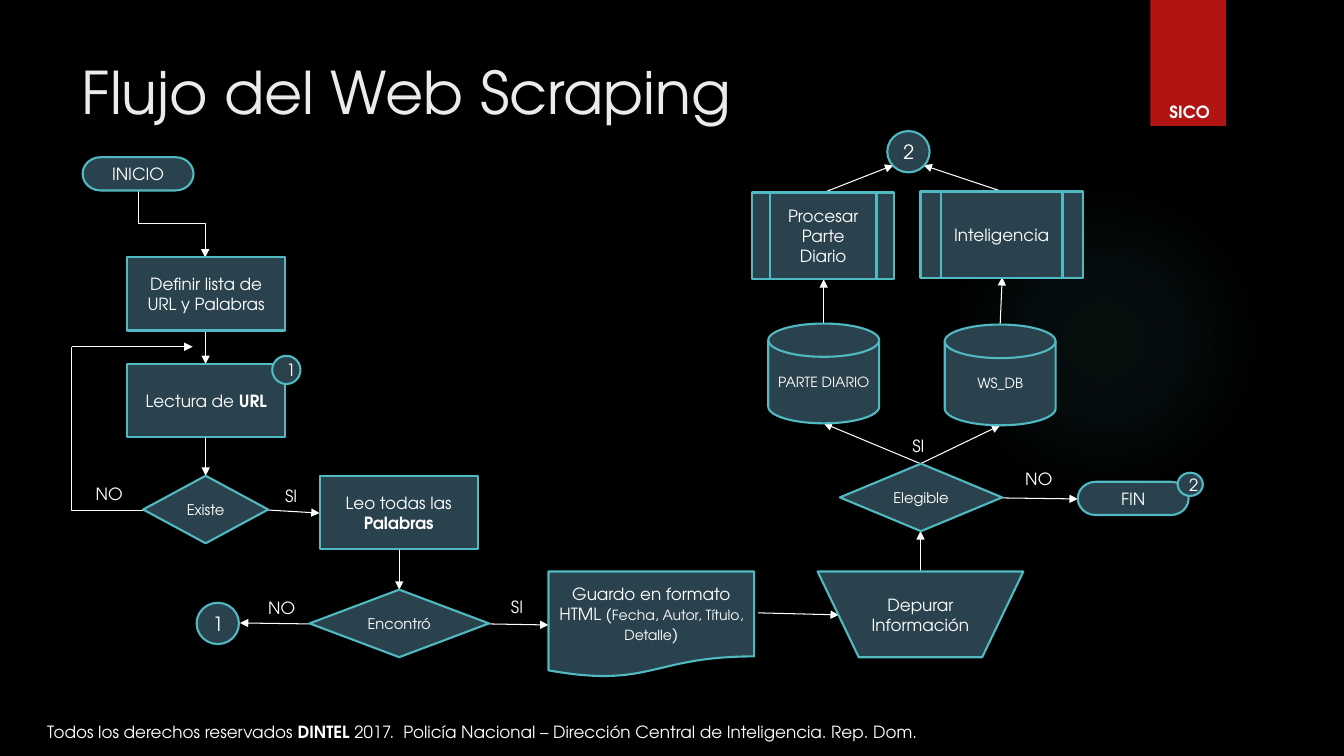
from dataclasses import dataclass

from lxml import etree
from pptx import Presentation
from pptx.dml.color import RGBColor
from pptx.enum.shapes import MSO_CONNECTOR as Line, MSO_SHAPE as Shape
from pptx.enum.text import MSO_ANCHOR as Anchor, PP_ALIGN as Align
from pptx.oxml import parse_xml
from pptx.oxml.ns import nsdecls, qn
from pptx.util import Inches, Pt


@dataclass(frozen=True)
class Theme:
    font: str = "TeX Gyre Adventor"
    back: RGBColor = RGBColor.from_string("000000")
    title: RGBColor = RGBColor.from_string("EBEBEB")
    white: RGBColor = RGBColor.from_string("FFFFFF")
    accent: RGBColor = RGBColor.from_string("50B9C1")
    node: RGBColor = RGBColor.from_string("2A424D")
    ribbon: RGBColor = RGBColor.from_string("B01513")
    title_size: float = 42
    badge_size: float = 14
    body_size: float = 12
    decision_size: float = 10.5
    small_size: float = 10


T = Theme()


def add_item(kind, box, text="", size=T.body_size, align=Align.CENTER, color=T.white, emphasis="bold"):
    place = [Inches(v) for v in box]
    if kind is None:
        sp = s.shapes.add_textbox(*place)
    else:
        sp = s.shapes.add_shape(kind, *place)
        sp.shadow.inherit = False
        sp.fill.solid()
        sp.fill.fore_color.rgb = T.node
        sp.line.color.rgb = T.accent
        sp.line.width = Pt(1.5)
    tf = sp.text_frame
    tf.word_wrap = True
    tf.vertical_anchor = Anchor.TOP if kind is None else Anchor.MIDDLE
    p = tf.paragraphs[0]
    p.alignment = align
    for i, part in enumerate(text.split("|") if text else []):
        r = p.add_run()
        r.text = part
        special = i % 2 == 1
        r.font.name = T.font
        r.font.size = Pt(T.small_size if special and emphasis == "small" else size)
        r.font.bold = special and emphasis == "bold"
        r.font.color.rgb = color
    return sp


def add_link(kind, start, end, arrow=True):
    c = s.shapes.add_connector(kind, *[Inches(v) for v in (*start, *end)])
    c.line.color.rgb = T.white
    c.line.width = Pt(0.75)
    if arrow:
        etree.SubElement(c.line._get_or_add_ln(), qn("a:tailEnd"), type="triangle")
    etree.SubElement(c._element.spPr, qn("a:effectLst"))
    return c


prs = Presentation()
prs.slide_width, prs.slide_height = Inches(13.33), Inches(7.5)
s = prs.slides.add_slide(prs.slide_layouts[6])
s.background.fill.solid()
s.background.fill.fore_color.rgb = T.back

glow = add_item(Shape.OVAL, (9.41, 1.83, 3.08, 3.08))
glow.line.fill.background()
stops = "".join(
    f'<a:gs pos="{pos * 1000}"><a:srgbClr val="{T.accent}"><a:alpha val="{alpha * 1000}"/></a:srgbClr></a:gs>'
    for pos, alpha in ((0, 7), (36, 6), (69, 0))
)
gradient = parse_xml(
    f'<a:gradFill {nsdecls("a")}><a:gsLst>{stops}</a:gsLst><a:path path="circle">'
    '<a:fillToRect l="50000" t="50000" r="50000" b="50000"/></a:path></a:gradFill>'
)
solid = glow._element.spPr.find(qn("a:solidFill"))
solid.getparent().replace(solid, gradient)

ribbon = add_item(Shape.RECTANGLE, (11.41, 0, 0.75, 1.25))
ribbon.fill.fore_color.rgb = T.ribbon
ribbon.line.fill.background()

add_item(None, (0.71, 0.5, 10.29, 1.03), "Flujo del Web Scraping", T.title_size, Align.LEFT, T.title)
add_item(
    None,
    (0.37, 7.11, 9.78, 0.39),
    "Todos los derechos reservados |DINTEL| 2017.  Policía Nacional – Dirección Central de Inteligencia. Rep. Dom.",
    align=Align.JUSTIFY,
)
add_item(None, (11.3, 0.96, 1, 0.39), "|SICO")

arrows = [
    ((2.04, 3.28), (2.04, 3.61)),
    ((2.66, 5.06), (3.17, 5.09)),
    ((2.04, 4.34), (2.04, 4.72)),
    ((3.07, 6.19), (2.38, 6.18)),
    ((0.71, 3.44), (1.91, 3.44)),
    ((3.96, 5.45), (3.96, 5.85)),
    ((4.85, 6.19), (5.44, 6.2)),
    ((7.52, 6.08), (8.32, 6.1)),
    ((9.13, 5.67), (9.13, 5.27)),
    ((9.13, 4.6), (8.17, 4.2)),
    ((9.13, 4.6), (9.92, 4.22)),
    ((9.94, 4.94), (10.69, 4.95)),
    ((8.17, 3.21), (8.17, 2.77)),
    ((9.92, 3.22), (9.94, 2.75)),
    ((8.17, 1.91), (8.86, 1.64)),
    ((9.94, 1.9), (9.16, 1.64)),
]
for start, end in arrows:
    add_link(Line.STRAIGHT, start, end)

first_step = add_link(Line.ELBOW, (2.04, 1.89), (1.37, 2.55))
first_step._element.spPr.find(qn("a:xfrm")).set("rot", "16200000")
loop_back = add_link(Line.ELBOW, (0.71, 3.44), (1.42, 5.06), arrow=False)
loop_back._element.spPr.find(qn("a:xfrm")).set("rot", "10800000")
loop_back._element.spPr.find(qn("a:prstGeom")).set("prst", "bentConnector2")

nodes = [
    (Shape.FLOWCHART_TERMINATOR, T.body_size, [
        ((0.82, 1.56, 1.1, 0.33), "INICIO"),
        ((10.69, 4.78, 1.1, 0.33), "FIN"),
    ]),
    (Shape.RECTANGLE, T.body_size, [
        ((1.26, 2.55, 1.57, 0.73), "Definir lista de URL y Palabras"),
        ((1.26, 3.61, 1.57, 0.73), "Lectura de |URL"),
        ((3.17, 4.72, 1.57, 0.73), "Leo todas las |Palabras"),
    ]),
    (Shape.FLOWCHART_DECISION, T.decision_size, [
        ((1.42, 4.72, 1.24, 0.67), "Existe"),
        ((3.07, 5.85, 1.78, 0.67), "Encontró"),
        ((8.33, 4.6, 1.61, 0.67), "Elegible"),
    ]),
    (Shape.FLOWCHART_MAGNETIC_DISK, T.small_size, [
        ((7.62, 3.21, 1.1, 0.99), "PARTE DIARIO"),
        ((9.37, 3.22, 1.1, 1), "WS_DB"),
    ]),
    (Shape.FLOWCHART_MANUAL_OPERATION, T.body_size, [
        ((8.11, 5.67, 2.04, 0.85), "Depurar Información"),
    ]),
    (Shape.FLOWCHART_PREDEFINED_PROCESS, T.body_size, [
        ((7.46, 1.91, 1.41, 0.86), "Procesar Parte Diario"),
        ((9.13, 1.9, 1.61, 0.86), "Inteligencia"),
    ]),
    (Shape.FLOWCHART_CONNECTOR, T.badge_size, [
        ((1.95, 5.98, 0.42, 0.41), "1"),
        ((8.8, 1.3, 0.42, 0.41), "2"),
    ]),
    (Shape.FLOWCHART_CONNECTOR, T.body_size, [
        ((2.7, 3.53, 0.28, 0.28), "1"),
        ((11.68, 4.69, 0.25, 0.23), "2"),
    ]),
]
for kind, size, items in nodes:
    for box, text in items:
        add_item(kind, box, text, size)

add_item(
    Shape.FLOWCHART_DOCUMENT,
    (5.44, 5.67, 2.04, 1.05),
    "Guardo en formato HTML (|Fecha, Autor, Título, Detalle|)",
    emphasis="small",
)

answers = {
    "SI": (0.43, [(2.73, 4.77), (4.97, 5.87), (8.95, 4.27)]),
    "NO": (0.52, [(0.85, 4.75), (2.56, 5.88), (10.07, 4.6)]),
}
for answer, (width, places) in answers.items():
    for x, y in places:
        add_item(None, (x, y, width, 0.3), answer, align=Align.LEFT)

prs.save("out.pptx")
